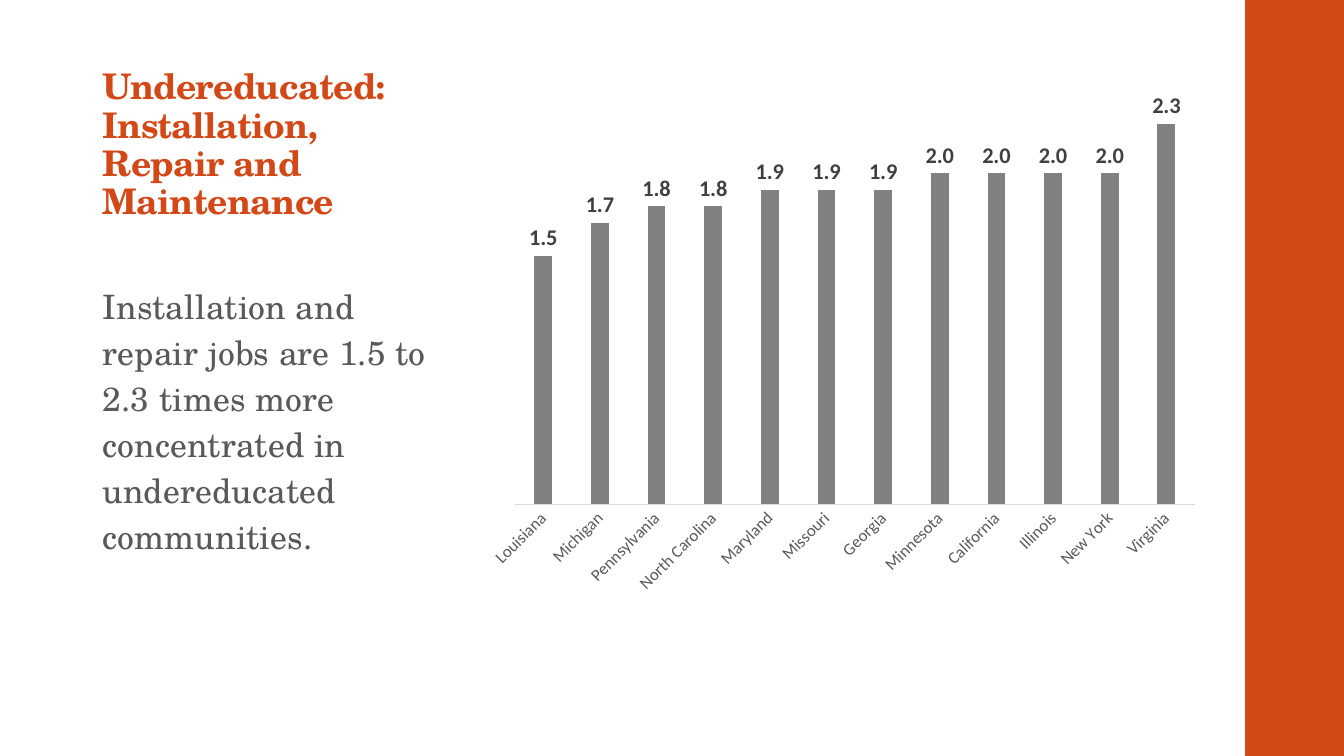
import pptx
import pptx.chart.data
import pptx.dml.color
import pptx.enum.chart
import pptx.enum.shapes
import pptx.enum.text
import pptx.util
from pptx.util import Inches, Pt

# Content
TITLE = "Undereducated: Installation, Repair and Maintenance"
MESSAGE = ("Installation and repair jobs are 1.5 to 2.3 times more "
           "concentrated in undereducated communities.")
CONCENTRATION = {
    "Louisiana": 1.5, "Michigan": 1.7, "Pennsylvania": 1.8,
    "North Carolina": 1.8, "Maryland": 1.9, "Missouri": 1.9,
    "Georgia": 1.9, "Minnesota": 2.0, "California": 2.0,
    "Illinois": 2.0, "New York": 2.0, "Virginia": 2.3,
}
COLORS = {"accent": "D34817", "body": "595959", "bar": "808080",
          "label": "404040", "axis": "D9D9D9"}
SERIF, SANS = "TeX Gyre Schola", "Calibri"
PLOT = {"x": 0.081, "y": 0.025, "w": 0.899, "h": 0.684}


def rgb(name):
    return pptx.dml.color.RGBColor.from_string(COLORS[name])


def style(font, face, size, color, bold=False):
    font.name, font.size, font.bold = face, Pt(size), bold
    font.color.rgb = rgb(color)


def add_text(text, top, height, size, color, bold, line_spacing, tracking):
    box = slide.shapes.add_textbox(Inches(0.92), Inches(top),
                                   Inches(3.5), Inches(height))
    frame = box.text_frame
    frame.word_wrap = True
    frame.text = text
    paragraph = frame.paragraphs[0]
    paragraph.line_spacing = line_spacing
    run = paragraph.runs[0]
    style(run.font, SERIF, size, color, bold)
    run.font._element.set("spc", str(tracking))
    return frame


presentation = pptx.Presentation()
presentation.slide_width = Inches(13.33)
presentation.slide_height = Inches(7.5)
slide = presentation.slides.add_slide(presentation.slide_layouts[6])

# Side band
band = slide.shapes.add_shape(pptx.enum.shapes.MSO_SHAPE.RECTANGLE,
                              Inches(12.35), 0, Inches(1), Inches(7.5))
band.shadow.inherit = False
band.fill.solid()
band.fill.fore_color.rgb = rgb("accent")
band.line.fill.background()

# Title and message
title = add_text(TITLE, 0.5, 1.75, 25.2, "accent", True, 0.9, -50)
title.vertical_anchor = pptx.enum.text.MSO_ANCHOR.BOTTOM
title.margin_top = Inches(0.03)
message = add_text(MESSAGE, 2.3, 4.17, 24, "body", False, 1.14, 10)
message.margin_top = Inches(0.48)

# Column chart
data = pptx.chart.data.CategoryChartData()
data.categories = list(CONCENTRATION)
data.add_series("Series 1", list(CONCENTRATION.values()))
chart = slide.shapes.add_chart(
    pptx.enum.chart.XL_CHART_TYPE.COLUMN_CLUSTERED,
    Inches(4.5), Inches(0.75), Inches(7.5), Inches(6), data).chart
chart.has_legend = chart.has_title = False
chart.font.name, chart.font.size = SERIF, Pt(10)

states = chart.category_axis
states.major_tick_mark = pptx.enum.chart.XL_TICK_MARK.NONE
style(states.tick_labels.font, SANS, 12, "body")
states.format.line.color.rgb = rgb("axis")
states.format.line.width = Pt(0.75)
states._element.txPr.find(pptx.oxml.ns.qn("a:bodyPr")).set("rot", "-2700000")

scale = chart.value_axis
scale.visible = scale.has_major_gridlines = False
scale.minimum_scale, scale.maximum_scale = 0, 2.5

columns = chart.plots[0]
columns.gap_width, columns.overlap = 219, -27
columns.vary_by_categories = False
bars = columns.series[0]
bars.format.fill.solid()
bars.format.fill.fore_color.rgb = rgb("bar")
labels = bars.data_labels
labels.show_value = True
labels.position = pptx.enum.chart.XL_LABEL_POSITION.OUTSIDE_END
labels.number_format, labels.number_format_is_linked = "#,##0.0", False
style(labels.font, SANS, 16, "label", True)

# Fixed inner plot area
plot_area = chart._chartSpace.chart.plotArea
for old in plot_area.findall(pptx.oxml.ns.qn("c:layout")):
    plot_area.remove(old)
settings = [("layoutTarget", "inner"), ("xMode", "edge"), ("yMode", "edge"),
            *PLOT.items()]
plot_area.insert(0, pptx.oxml.parse_xml(
    '<c:layout xmlns:c="http://schemas.openxmlformats.org/drawingml/2006/chart">'
    "<c:manualLayout>"
    + "".join(f'<c:{tag} val="{value}"/>' for tag, value in settings)
    + "</c:manualLayout></c:layout>"))

presentation.save("out.pptx")
